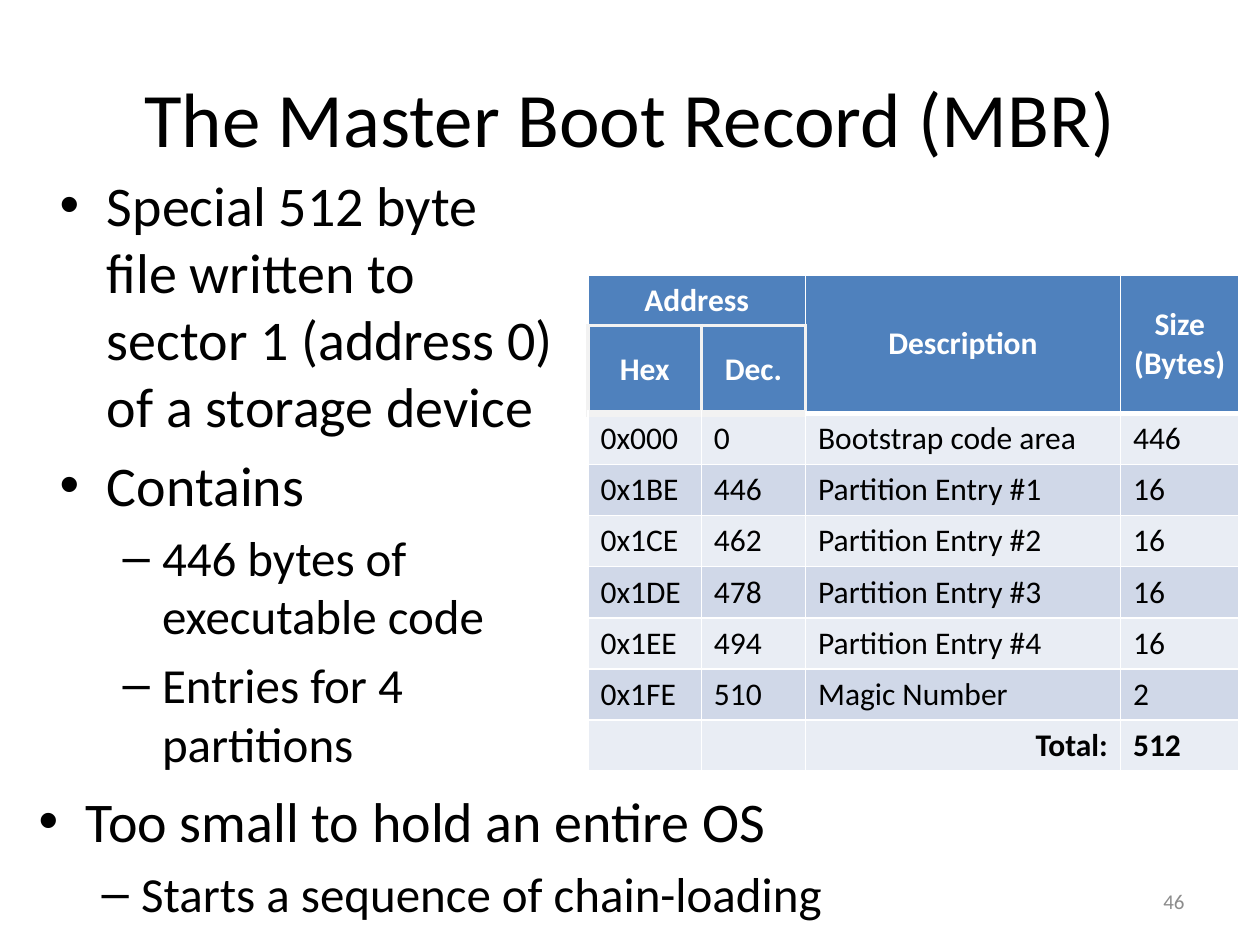
from pptx import Presentation
from pptx.dml.color import RGBColor
from pptx.enum.text import MSO_ANCHOR as ANCHOR, PP_ALIGN as ALIGN
from pptx.oxml.ns import qn
from pptx.util import Pt
from lxml.etree import SubElement

BLACK = RGBColor(0, 0, 0)
WHITE = RGBColor(255, 255, 255)
GRAY = RGBColor(0x8C, 0x8C, 0x8C)
PALE = RGBColor(0xF2, 0xF2, 0xF2)
BLUE = RGBColor(0x4F, 0x81, 0xBD)
LIGHT = RGBColor(0xE9, 0xED, 0xF4)
DARK = RGBColor(0xD0, 0xD8, 0xE8)


def write(p, text, align, color, **font):
    p.alignment = align
    r = p.add_run()
    r.text = text
    r.font.color.rgb = color
    for key, value in {"name": "Calibri", **font}.items():
        setattr(r.font, key, value)


def add_box(box, anchor):
    tf = s.shapes.add_textbox(*map(Pt, box)).text_frame
    tf.word_wrap = True
    tf.vertical_anchor = anchor
    return tf


prs = Presentation()
prs.slide_width, prs.slide_height = Pt(720), Pt(540)
s = prs.slides.add_slide(prs.slide_layouts[6])

for box, text, align, color, size in [
    ((36, 21.6, 648, 90), "The Master Boot Record (MBR)", ALIGN.CENTER, BLACK, 44),
    ((516, 500.5, 168, 28.75), "46", ALIGN.RIGHT, GRAY, 12),
]:
    tf = add_box(box, ANCHOR.MIDDLE)
    write(tf.paragraphs[0], text, align, color, size=Pt(size))

ROWS = [
    ("Address", "", "Description", "Size (Bytes)"),
    ("Hex", "Dec.", "", ""),
    ("0x000", "0", "Bootstrap code area", "446"),
    ("0x1BE", "446", "Partition Entry #1", "16"),
    ("0x1CE", "462", "Partition Entry #2", "16"),
    ("0x1DE", "478", "Partition Entry #3", "16"),
    ("0x1EE", "494", "Partition Entry #4", "16"),
    ("0x1FE", "510", "Magic Number", "2"),
    ("", "", "Total:", "512"),
]
table = s.shapes.add_table(9, 4, Pt(336), Pt(157), Pt(372.25), Pt(262)).table
for column, width in zip(table.columns, (64.8, 59.5, 180, 67.7)):
    column.width = Pt(width)
for i, row in enumerate(table.rows):
    row.height = Pt(27.36 if i < 2 else 29.2)
for first, last in [((0, 0), (0, 1)), ((0, 2), (1, 2)), ((0, 3), (1, 3))]:
    table.cell(*first).merge(table.cell(*last))

for i, row in enumerate(ROWS):
    for j, text in enumerate(row):
        cell = table.cell(i, j)
        header, total = i < 2, i == 8
        borders = dict.fromkeys("LRTB", (WHITE, 1))
        if j < 2:
            if i == 0:
                borders["B"] = PALE, 2.25
            elif i == 1:
                borders.update(dict.fromkeys("LRT", (PALE, 2.25)), B=(PALE, 4.5))
            elif i == 2:
                borders["T"] = PALE, 4.5
        elif header:
            borders["B"] = WHITE, 3
        elif i == 2:
            borders["T"] = WHITE, 3
        tcPr = cell._tc.get_or_add_tcPr()
        for side, (color, width) in borders.items():
            ln = SubElement(tcPr, qn(f"a:ln{side}"), w=str(Pt(width)))
            fill = SubElement(ln, qn("a:solidFill"))
            SubElement(fill, qn("a:srgbClr"), val=str(color))
        cell.fill.solid()
        cell.fill.fore_color.rgb = BLUE if header else DARK if i % 2 else LIGHT
        cell.vertical_anchor = ANCHOR.MIDDLE if header else ANCHOR.TOP
        if text:
            align = ALIGN.CENTER if header else ALIGN.RIGHT if text == "Total:" else ALIGN.LEFT
            write(cell.text_frame.paragraphs[0], text, align,
                  WHITE if header else BLACK, size=Pt(18), bold=header or total)

LEVELS = [
    {"char": "•", "left": 27, "hang": 27, "size": 32},
    {"char": "–", "left": 58.5, "hang": 22.5, "size": 28},
]
for box, items in [
    ((27, 93.6, 299, 356.4), [
        (0, "Special 512 byte file written to sector 1 (address 0) of a storage device"),
        (0, "Contains"),
        (1, "446 bytes of executable code"),
        (1, "Entries for 4 partitions"),
    ]),
    ((15, 445.7, 705, 93.6), [
        (0, "Too small to hold an entire OS"),
        (1, "Starts a sequence of chain-loading"),
    ]),
]:
    tf = add_box(box, ANCHOR.TOP)
    for n, (level, text) in enumerate(items):
        p = tf.add_paragraph() if n else tf.paragraphs[0]
        fmt = LEVELS[level]
        pPr = p._p.get_or_add_pPr()
        pPr.set("marL", str(Pt(fmt["left"])))
        pPr.set("indent", str(-Pt(fmt["hang"])))
        SubElement(pPr, qn("a:buFont"), typeface="Arial")
        SubElement(pPr, qn("a:buChar"), char=fmt["char"])
        p.level = level
        if n:
            p.space_before = Pt(fmt["size"] * 0.2)
        write(p, text, ALIGN.LEFT, BLACK, size=Pt(fmt["size"]))

prs.save("out.pptx")
